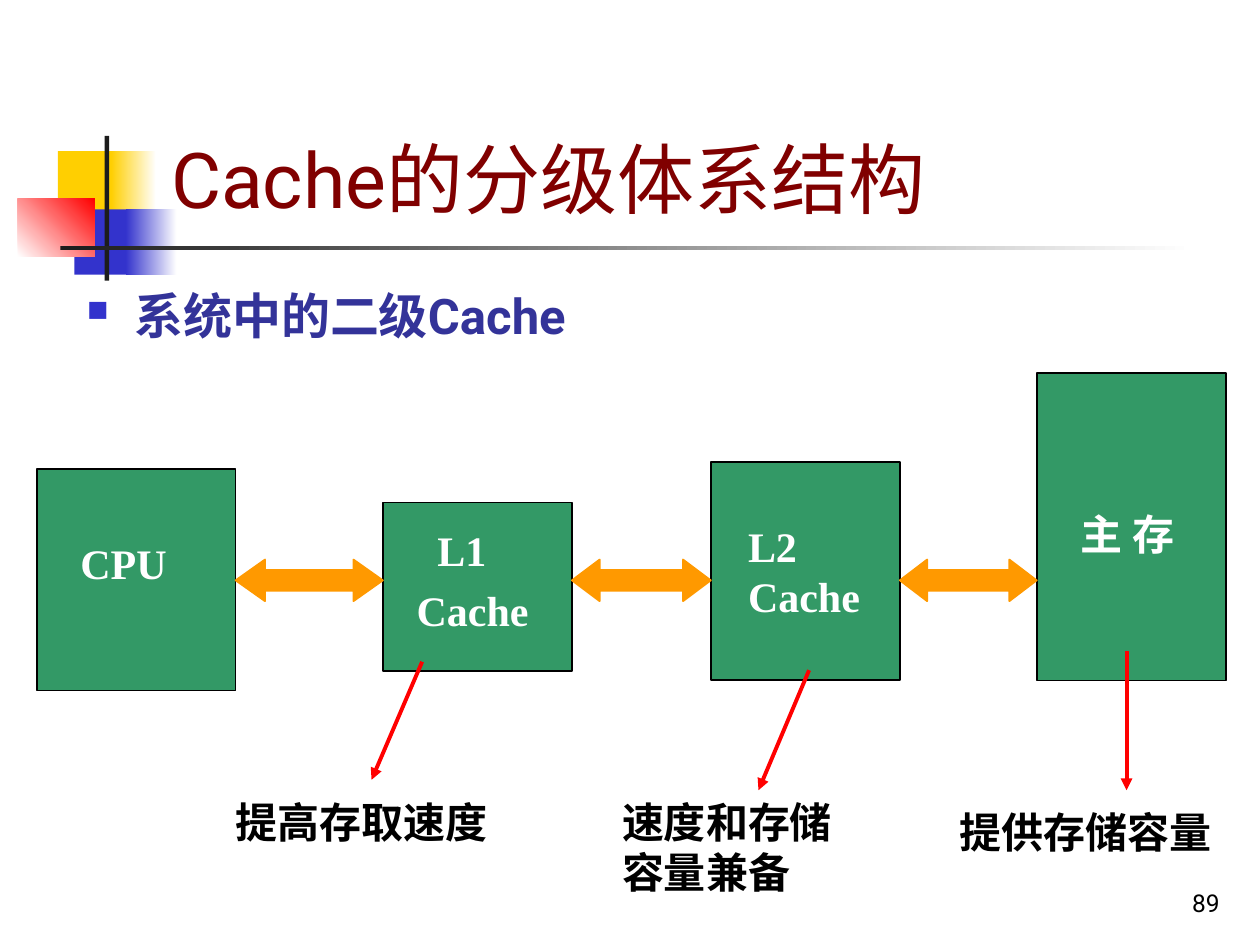
from lxml.etree import SubElement
from pptx import Presentation
from pptx.dml.color import RGBColor
from pptx.enum.shapes import MSO_CONNECTOR as Link, MSO_SHAPE as Preset
from pptx.enum.text import MSO_ANCHOR as Anchor, PP_ALIGN as Align
from pptx.oxml.ns import qn
from pptx.util import Cm, Pt

COLORS = {
    "white": "FFFFFF", "black": "000000", "yellow": "FFCF01", "blue": "3333CC",
    "red": "FF0000", "ink": "1C1C1C", "title": "800000", "heading": "333399",
    "block": "339966", "arrow": "FF9900",
}
SANS, SERIF = "Roboto", "Times New Roman"

# Content; places are left, top, width, height in cm
TITLE = ("Cache的分级体系结构", (3.2, 0.58, 21.64, 4.06))
HEADING = ("系统中的二级Cache", (1.5, 5.51, 21.59, 2.13))
PAGE_NUMBER = ("89", (19.56, 17.35, 5.28, 1.27))

# place, start colour, end colour (None for solid), gradient angle
ORNAMENTS = [
    ((1.17, 3.05, 1.22, 1.32), "yellow", None, 0),
    ((2.24, 3.05, 0.91, 1.32), "yellow", "white", 0),
    ((1.5, 4.22, 1.17, 1.32), "blue", None, 0),
    ((2.54, 4.22, 1.02, 1.32), "blue", "white", 0),
    ((0.36, 4.01, 1.55, 1.17), "white", "red", 45),
    ((2.11, 2.74, 0.09, 2.92), "ink", None, 0),
    ((1.22, 4.95, 22.86, 0.09), "ink", "white", 0),
]
# block place, label lines, label place, space between lines (pt), first-line shift (cm)
BLOCKS = [
    ((0.74, 9.45, 4.01, 4.47), ["CPU"], (1.37, 10.72, 2.77, 1.27), 0, 0),
    ((7.72, 10.13, 3.81, 3.4), ["L1", "Cache"], (8.15, 10.44, 3.2, 2.51), 6, 0.42),
    ((14.33, 9.32, 3.81, 4.39), ["L2", "Cache"], (14.83, 10.36, 3.0, 2.29), 0, 0),
    ((20.9, 7.52, 3.81, 6.2), ["主 存"], (21.54, 10.13, 2.97, 1.27), 0, 0),
]
ARROW_TOP, ARROW_HEIGHT, HEAD_SHARE = 11.28, 0.84, 0.2
# note text, note place, pointer start, pointer end
NOTES = [
    ("提高存取速度", (4.5, 15.93, 6.4, 1.27), (8.51, 13.34), (7.49, 15.72)),
    ("速度和存储容量兼备", (12.29, 15.93, 5.21, 2.29), (16.31, 13.51), (15.29, 15.93)),
    ("提供存储容量", (19.1, 16.13, 5.79, 1.27), (22.71, 13.13), (22.71, 15.93)),
]


def rgb(name):
    return RGBColor.from_string(COLORS[name])


def cm(values):
    return [Cm(value) for value in values]


def add_block(page, preset, place, color, line=None):
    block = page.shapes.add_shape(preset, *cm(place))
    block.shadow.inherit = False
    block.fill.solid()
    block.fill.fore_color.rgb = rgb(color)
    if line:
        block.line.color.rgb = rgb(line)
        block.line.width = Pt(1)
    else:
        block.line.fill.background()
    return block


def add_text(page, lines, place, size, color, font=SANS, bold=False,
             anchor=Anchor.TOP, align=Align.LEFT, gap=0):
    box = page.shapes.add_textbox(*cm(place))
    frame = box.text_frame
    frame.word_wrap = True
    frame.vertical_anchor = anchor
    for index, line in enumerate(lines):
        para = frame.add_paragraph() if index else frame.paragraphs[0]
        para.alignment = align
        para.space_before = Pt(gap if index else 0)
        span = para.add_run()
        span.text = line
        span.font.name = font
        span.font.size = Pt(size)
        span.font.bold = bold
        span.font.color.rgb = rgb(color)
    return frame.paragraphs


def add_bullet(para, mark, color, percent, indent):
    props = para._p.get_or_add_pPr()
    props.set("marL", str(Cm(indent)))
    props.set("indent", str(-Cm(indent)))
    SubElement(SubElement(props, qn("a:buClr")), qn("a:srgbClr"), val=COLORS[color])
    SubElement(props, qn("a:buSzPct"), val=str(percent * 1000))
    SubElement(props, qn("a:buChar"), char=mark)


def add_pointer(page, start, end):
    pointer = page.shapes.add_connector(Link.STRAIGHT, *cm(start + end))
    pointer.line.color.rgb = rgb("red")
    pointer.line.width = Pt(2.25)
    SubElement(pointer.line._get_or_add_ln(), qn("a:tailEnd"), type="triangle")
    SubElement(pointer._element.spPr, qn("a:effectLst"))


def main():
    deck = Presentation()
    deck.slide_width, deck.slide_height = Cm(25.4), Cm(19.05)
    page = deck.slides.add_slide(deck.slide_layouts[6])

    # Corner ornament and title rule
    for place, start, end, angle in ORNAMENTS:
        ornament = add_block(page, Preset.RECTANGLE, place, start)
        if end:
            ornament.fill.gradient()
            ornament.fill.gradient_angle = angle
            for stop, color, position in zip(ornament.fill.gradient_stops, (start, end), (0, 1)):
                stop.color.rgb = rgb(color)
                stop.position = position

    # Title, heading and page number
    add_text(page, [TITLE[0]], TITLE[1], 44, "title", anchor=Anchor.BOTTOM)
    heading = add_text(page, [HEADING[0]], HEADING[1], 28, "heading", bold=True)[0]
    heading.line_spacing = 1.1
    add_bullet(heading, "■", "blue", 60, 0.96)
    add_text(page, [PAGE_NUMBER[0]], PAGE_NUMBER[1], 14, "black",
             anchor=Anchor.BOTTOM, align=Align.RIGHT)

    # Memory levels
    for place, lines, label_place, gap, shift in BLOCKS:
        add_block(page, Preset.RECTANGLE, place, "block", "black")
        paras = add_text(page, lines, label_place, 24, "white", SERIF, True, gap=gap)
        if shift:
            paras[0]._p.get_or_add_pPr().set("marL", str(Cm(shift)))

    # Double arrows fill the gaps between neighbours
    for (left, *_), (right, *_) in zip(BLOCKS, BLOCKS[1:]):
        start = left[0] + left[2]
        width = right[0] - start
        arrow = add_block(page, Preset.LEFT_RIGHT_ARROW,
                          (start, ARROW_TOP, width, ARROW_HEIGHT), "arrow", "arrow")
        arrow.adjustments[0] = 0.5
        arrow.adjustments[1] = HEAD_SHARE * width / ARROW_HEIGHT

    # Notes and their pointers
    for note, place, start, end in NOTES:
        add_pointer(page, start, end)
        add_text(page, [note], place, 24, "black", SERIF, True)

    deck.save("out.pptx")


if __name__ == "__main__":
    main()
